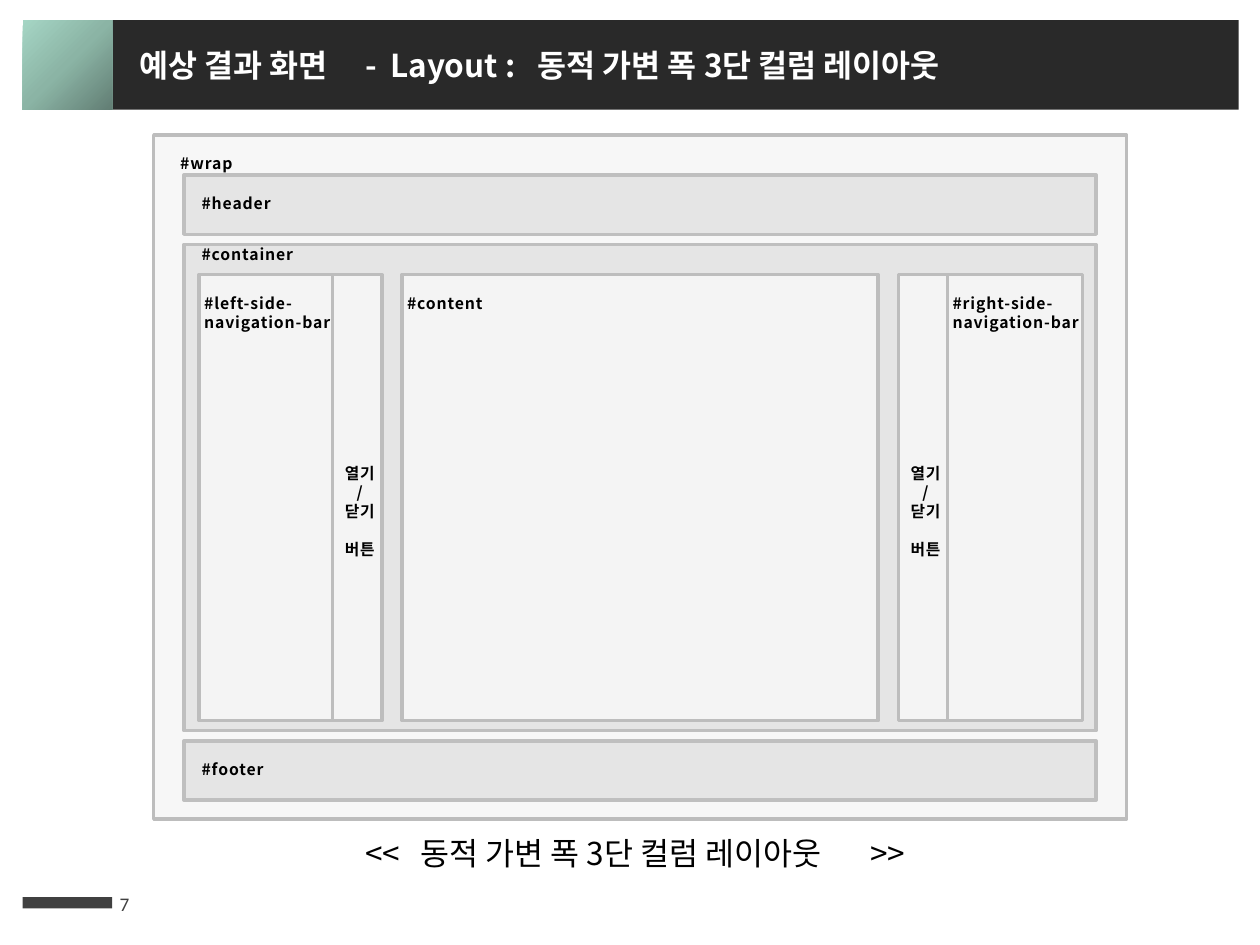
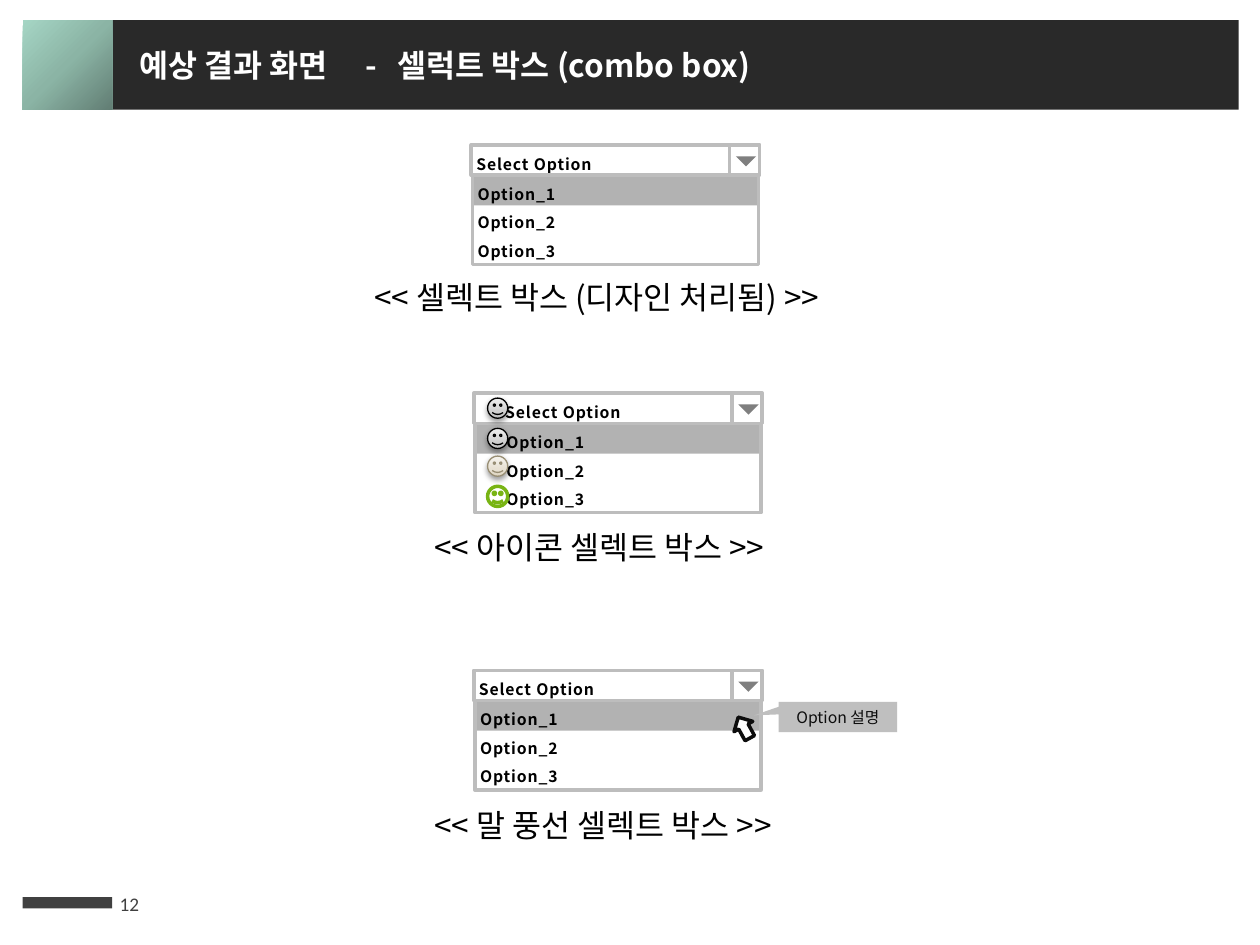
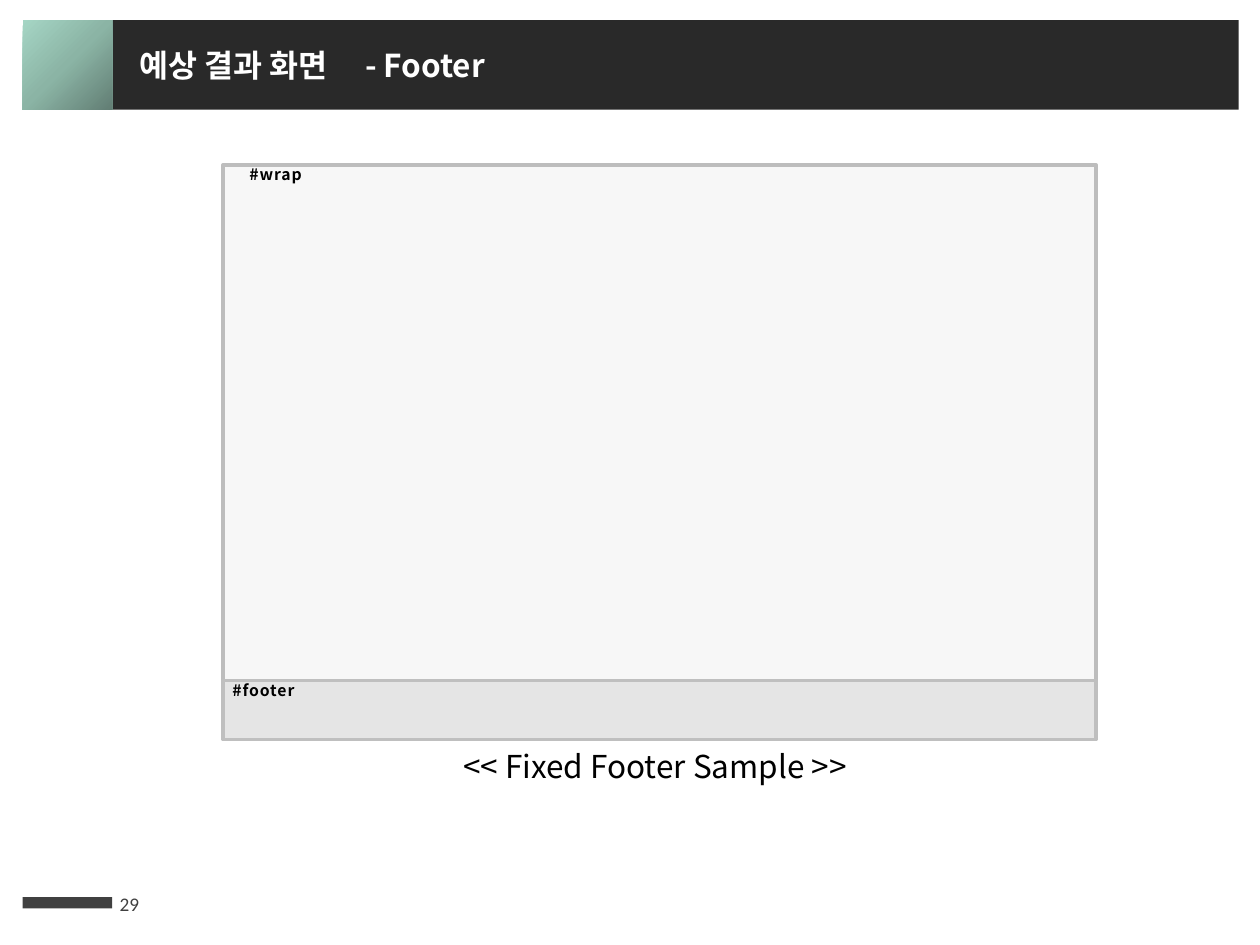
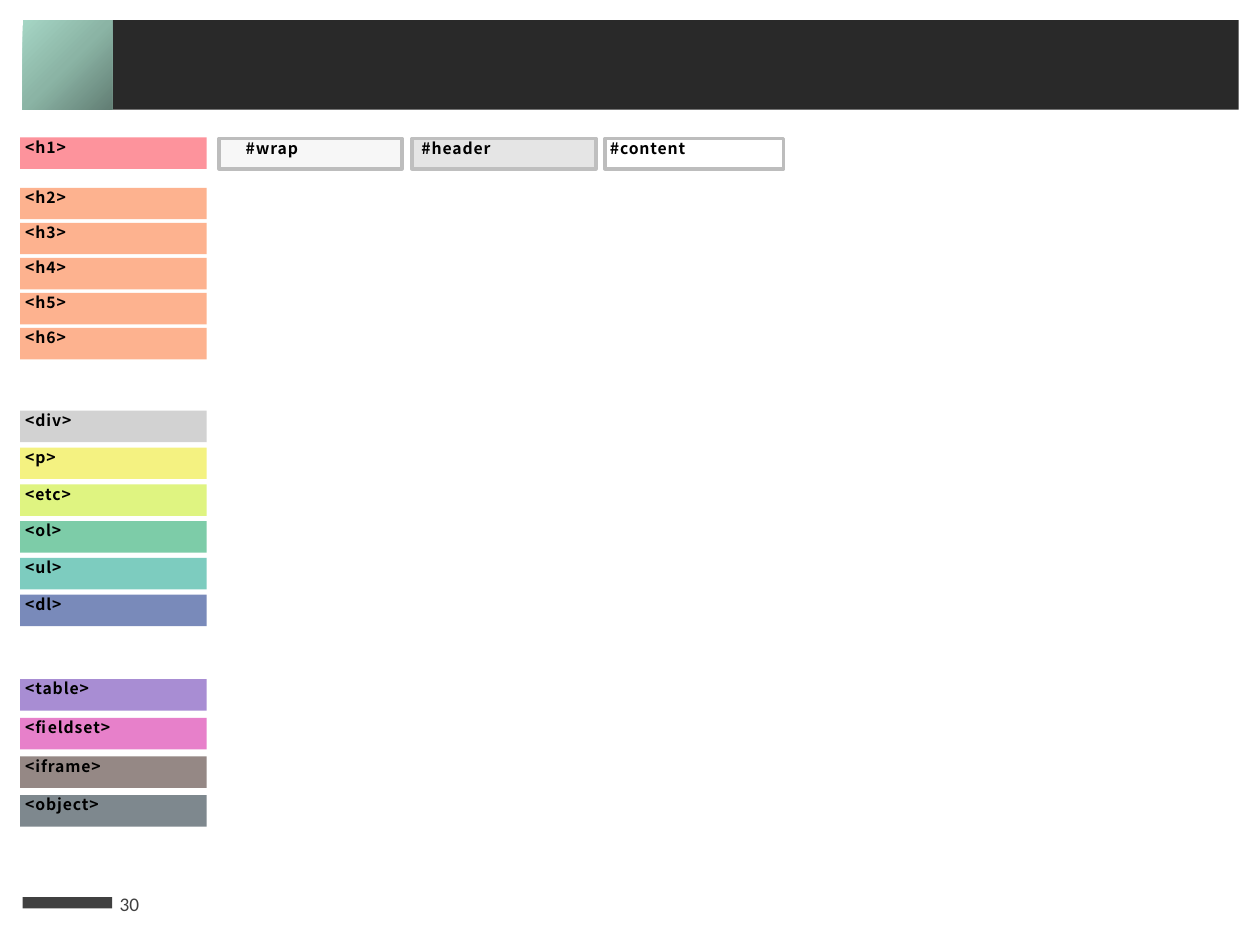
from lxml import etree
from pptx import Presentation
from pptx import util as u
from pptx.dml.color import RGBColor
from pptx.enum import shapes, text
from pptx.oxml import parse_xml
from pptx.oxml.ns import nsdecls, qn

# Colours and fonts
INK = RGBColor(0x29, 0x29, 0x29)
DARK = RGBColor(0x40, 0x40, 0x40)
BLACK = RGBColor(0, 0, 0)
NEAR = RGBColor(0x0D, 0x0D, 0x0D)
WHITE = RGBColor(0xFF, 0xFF, 0xFF)
PALE = RGBColor(0xF7, 0xF7, 0xF7)
SILVER = RGBColor(0xE5, 0xE5, 0xE5)
EDGE = RGBColor(0xBD, 0xBD, 0xBD)
RIM = RGBColor(0xBF, 0xBF, 0xBF)
MID = RGBColor(0x7F, 0x7F, 0x7F)
TAN = RGBColor(0x98, 0x8E, 0x74)
GREEN = RGBColor(0x78, 0xB4, 0x14)
ORANGE = RGBColor(0xFC, 0x80, 0x45)
KR = "Noto Sans CJK KR"

# Gradients: stops, then direction
UP = '<a:lin ang="16200000" scaled="0"/>'
CORNER = '<a:path path="circle"><a:fillToRect l="100000" t="100000"/></a:path>'
MINT = [((0, "627E74"), (50, "8BB4A5"), (100, "A5D5C4")), CORNER]
GREY = [((0, "BDBDBD"), (35, "D1D1D1"), (100, "EEEEEE")), UP]
SAND = [((0, "DFD5C0"), (35, "E8E1D3"), (100, "F6F4EE")), UP]

# Grid: 100 columns by 75 rows of square cells
deck = Presentation()
deck.slide_width, deck.slide_height = u.Inches(10), u.Inches(7.5)
CELL = deck.slide_width // 100
ROW = 1.5  # height of one line of label text
KIND = shapes.MSO_SHAPE
RECT = KIND.RECTANGLE


def box(page, x, y, w, h, fill=None, line=None, kind=RECT, clear=False, wide=2):
    """Draw a shape, or a text box when kind is None; all lengths in cells."""
    place = [round(n * CELL) for n in (x, y, w, h)]
    if kind is None:
        return page.shapes.add_textbox(*place)
    shape = page.shapes.add_shape(kind, *place)
    shape.shadow.inherit = False
    prop = shape._element.spPr
    if isinstance(fill, list):
        stops = "".join(f'<a:gs pos="{at * 1000}"><a:srgbClr val="{hue}"/></a:gs>'
                        for at, hue in fill[0])
        prop.find(qn("a:prstGeom")).addnext(parse_xml(
            f'<a:gradFill {nsdecls("a")} rotWithShape="1"><a:gsLst>{stops}</a:gsLst>'
            f'{fill[1]}</a:gradFill>'))
    else:
        shape.fill.solid()
        shape.fill.fore_color.rgb = fill
    if clear:
        hue = prop.find(qn("a:solidFill")).find(qn("a:srgbClr"))
        etree.SubElement(hue, qn("a:alpha")).set("val", "60000")
    if line is None:
        shape.line.fill.background()
    else:
        shape.line.color.rgb = line
        shape.line.width = u.Pt(wide)
    return shape


def write(shape, lines, size=9, hue=BLACK, bold=True, gap=50, pad=(0.4, 0, 0, 0),
          mid=False, center=False, space=None, tabs=(), name=KR):
    """Fill a shape with text; pad is left, top, right, bottom in cells."""
    frame = shape.text_frame
    frame.word_wrap = True
    frame.vertical_anchor = text.MSO_ANCHOR.MIDDLE if mid else text.MSO_ANCHOR.TOP
    frame.margin_left, frame.margin_top, frame.margin_right, frame.margin_bottom = [
        round(n * CELL) for n in pad]
    frame.text = "\n".join(lines)
    for para in frame.paragraphs:
        para.alignment = text.PP_ALIGN.CENTER if center else text.PP_ALIGN.LEFT
        if space:
            para.line_spacing = space
        prop = para._p.get_or_add_pPr()
        if tabs:
            stops = etree.SubElement(prop, qn("a:tabLst"))
            for at in tabs:
                etree.SubElement(stops, qn("a:tab"), pos=str(round(at * CELL)), algn="l")
        font = para.font
        font.size, font.bold, font.name = u.Pt(size), bold, name
        font.color.rgb = hue
        base = prop.find(qn("a:defRPr"))
        base.set("spc", str(gap))
        etree.SubElement(base, qn("a:ea"), typeface=name)
    return frame


# Shared frame of every slide: band, corner tile, footer bar, number, title
BIG = dict(size=18, gap=0, pad=(1, 0.5, 1, 0.5))
heads = [
    (7, "예상 결과 화면\t-\tLayout :\t동적 가변 폭 3단 컬럼 레이아웃", (17.9, 19.9, 31.6)),
    (12, "예상 결과 화면\t-\t셀럭트 박스 (combo box)", (17.9, 20.5)),
    (29, "예상 결과 화면\t- Footer", (17.9,)),
    (30, None, ()),
]
pages = []
for num, title, tabs in heads:
    page = deck.slides.add_slide(deck.slide_layouts[6])
    box(page, 8.9, 1.6, 89.4, 7.1, INK)
    box(page, 1.8, 1.6, 7.1, 7.1, MINT)
    box(page, 1.8, 71.2, 7.1, 0.9, DARK)
    write(box(page, 8.5, 69.7, 5.9, 4, kind=None), [str(num)], 11, DARK, False, 0,
          pad=(1, 0.5, 1, 0.5), mid=True, name="Calibri")
    if title:
        write(box(page, 10.1, 3.2, 79, 4, kind=None), [title], hue=WHITE, tabs=tabs, **BIG)
    pages.append(page)
lay, combo, foot, tags = pages

# Slide 1: page regions
regions = [
    (12.2, 10.7, 77.2, 54.3, PALE, EDGE, "#wrap", 2.1, ROW),
    (14.6, 19.4, 72.4, 38.6, SILVER, RIM, "#container", 1.4, 0),
    (14.6, 13.9, 72.4, 4.7, SILVER, RIM, "#header", 1.4, ROW),
    (14.6, 58.8, 72.4, 4.7, SILVER, RIM, "#footer", 1.4, ROW),
]
for x, y, w, h, fill, line, label, left, top in regions:
    write(box(lay, x, y, w, h, fill, line), [label], pad=(left, top, 0, 0))

# Slide 1: three columns and their toggle buttons
columns = [
    (31.9, 37.8, ["#content"]),
    (15.8, 10.6, ["#left-side-", "navigation-bar"]),
    (75.2, 10.7, ["#right-side-navigation-bar"]),
]
for x, w, label in columns:
    write(box(lay, x, 21.8, w, 35.4, WHITE, EDGE, clear=True), label, pad=(0.4, ROW, 0, 0))
for x in (26.4, 71.3):
    frame = write(box(lay, x, 21.8, 3.9, 35.4, WHITE, EDGE, clear=True),
                  ["열기", "/", "닫기", "버튼"], pad=(0.4, 10 * ROW, 0, 0), center=True)
    frame.paragraphs[-1].space_before = u.Pt(10.8)
write(box(lay, 28, 65.7, 47.2, 4, kind=None), ["<<\t동적 가변 폭 3단 컬럼 레이아웃\t>>"],
      bold=False, tabs=(4.4, 40.1), **BIG)

# Slide 2: three select boxes
selects = [
    (37.4, 11.5, 0.4, 28.7, 21.6, 42.5, "<< 셀렉트 박스 (디자인 처리됨) >>"),
    (37.6, 31.2, 2.5, 33.5, 41.4, 33.1, "<< 아이콘 셀렉트 박스 >>"),
    (37.6, 53.2, 0.4, 33.5, 63.5, 32.9, "<< 말 풍선 셀렉트 박스 >>"),
]
for x, y, left, cx, cy, cw, note in selects:
    look = dict(pad=(left, 0, 0, 0), space=1.5)
    box(combo, x, y + 2.4, 22.8, 2.4, DARK)
    box(combo, x + 20.5, y, 2.4, 2.4, WHITE, EDGE, clear=True)
    write(box(combo, x, y, 20.5, 2.4, WHITE, EDGE, clear=True), ["Select Option"], **look)
    box(combo, x + 21, y + 0.9, 1.6, 0.8, MID, kind=KIND.ISOSCELES_TRIANGLE).rotation = 180
    write(box(combo, x + 0.1, y + 2.4, 22.7, 7.1, WHITE, EDGE, clear=True),
          [f"Option_{n}" for n in (1, 2, 3)], **look)
    write(box(combo, cx, cy, cw, 4, kind=None), [note], bold=False, **BIG)

# Slide 2: option icons
icons = [(31.6, GREY, BLACK), (34, GREY, BLACK), (36.2, SAND, TAN), (38.6, WHITE, GREEN)]
for y, fill, line in icons:
    soft = isinstance(fill, list)
    face = box(combo, 38.7, y, 1.6, 1.6, fill, line, KIND.SMILEY_FACE,
               wide=0.75 if soft else 2)
    if soft:
        face._element.spPr.find(qn("a:effectLst")).append(parse_xml(
            f'<a:outerShdw {nsdecls("a")} blurRad="40000" dist="20000" dir="5400000" '
            'rotWithShape="0"><a:srgbClr val="000000"><a:alpha val="38000"/></a:srgbClr>'
            '</a:outerShdw>'))

# Slide 2: tooltip and pointer
tip = box(combo, 61.8, 55.7, 9.4, 2.4, RIM, kind=KIND.RECTANGULAR_CALLOUT)
tip.adjustments[0], tip.adjustments[1] = -0.71, -0.05
write(tip, ["Option 설명"], hue=NEAR, bold=False, gap=0, pad=(1, 0.5, 1, 0.5),
      mid=True, center=True)
box(combo, 58.2, 56.8, 1.7, 1.9, WHITE, NEAR, KIND.UP_ARROW).rotation = 331.2

# Slide 3: fixed footer
write(box(foot, 17.7, 13.1, 69.3, 40.9, PALE, EDGE), ["#wrap"], pad=(2.1, 0, 0, 0))
write(box(foot, 17.7, 54, 69.3, 4.7, SILVER, RIM), ["#footer"], pad=(0.75, 0, 0, 0))
write(box(foot, 35.8, 58.8, 37, 4, kind=None), ["<< Fixed Footer Sample >>"],
      bold=False, **BIG)

# Slide 4: tag legend, in groups of first row, step and tags
groups = [
    (10.9, 0, [("h1", RGBColor(0xFC, 0x4B, 0x5A))]),
    (14.9, 2.78, [(f"h{n}", ORANGE) for n in range(2, 7)]),
    (32.6, 2.92, [("div", RGBColor(0xB5, 0xB5, 0xB5)), ("p", RGBColor(0xEE, 0xEA, 0x2E)),
                  ("etc", RGBColor(0xCB, 0xEE, 0x2E)), ("ol", RGBColor(0x27, 0xAA, 0x6E)),
                  ("ul", RGBColor(0x27, 0xAA, 0x95)), ("dl", RGBColor(0x21, 0x3D, 0x8C))]),
    (53.9, 3.07, [("table", RGBColor(0x6F, 0x42, 0xB6)),
                  ("fieldset", RGBColor(0xD7, 0x2C, 0xA8)),
                  ("iframe", RGBColor(0x4F, 0x3A, 0x34)),
                  ("object", RGBColor(0x29, 0x39, 0x43))]),
]
for top, step, items in groups:
    for i, (tag, hue) in enumerate(items):
        write(box(tags, 1.6, top + i * step, 14.8, 2.5, hue, clear=True), [f"<{tag}>"])

# Slide 4: region legend
keys = [
    (17.4, 14.5, PALE, EDGE, False, "#wrap", 2.1),
    (48, 14.2, WHITE, EDGE, True, "#content", 0.4),
    (32.7, 14.6, SILVER, RIM, False, "#header", 0.75),
]
for x, w, fill, line, clear, label, left in keys:
    write(box(tags, x, 11, w, 2.4, fill, line, clear=clear), [label], pad=(left, 0, 0, 0))

deck.save("out.pptx")
